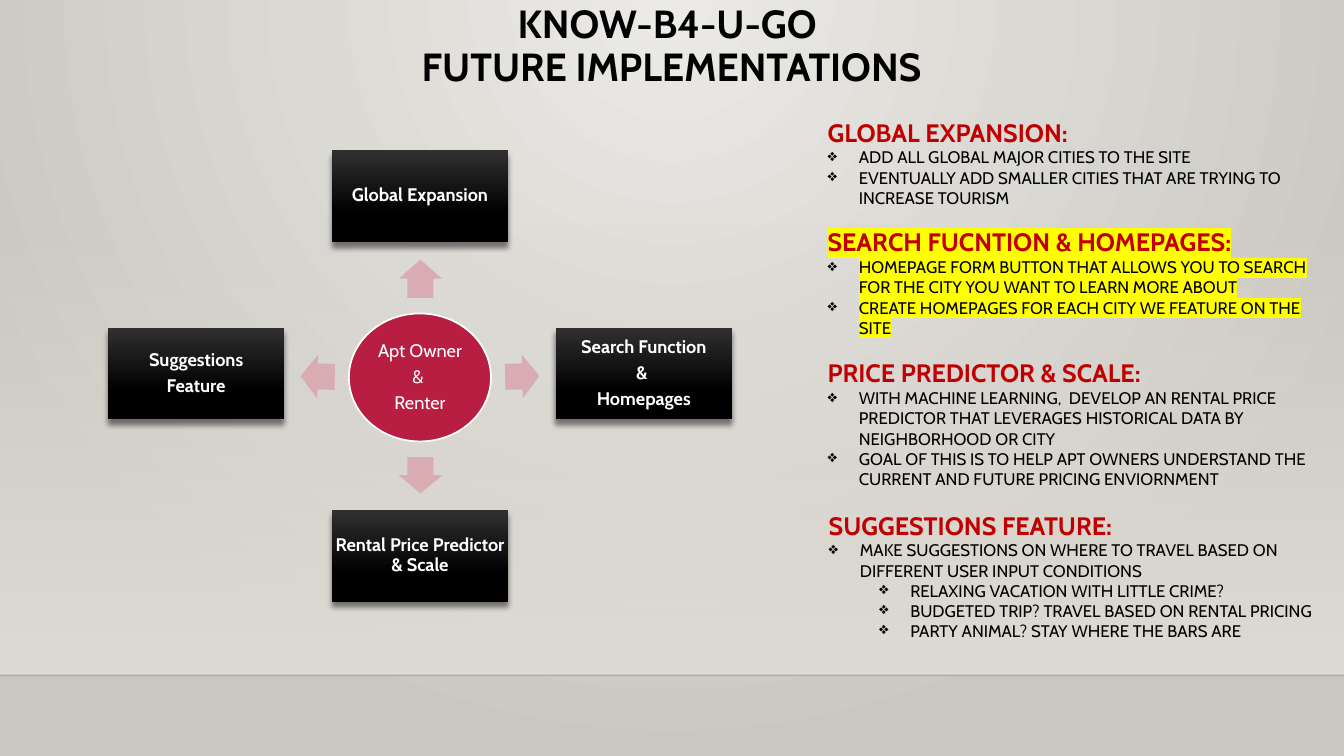
from pptx import Presentation
from pptx.dml.color import RGBColor
from pptx.enum import shapes, text
from pptx.oxml import parse_xml
from pptx.oxml.ns import nsdecls, qn
from pptx.oxml.xmlchemy import OxmlElement
from pptx.util import Inches, Pt


class Theme:
    font = "Cabin"
    title_size, heading_size, label_size, body_size = Pt(28), Pt(18), Pt(13), Pt(12)
    black, white = RGBColor(0, 0, 0), RGBColor(255, 255, 255)
    heading = RGBColor.from_string("C00000")
    hub, arrow = RGBColor.from_string("B71E42"), RGBColor.from_string("D8ACB0")
    backdrop = [(0, "ECEAE7", 100), (100, "CAC7C1", 100)]
    wall = [(0, "DFDBD5", 0), (100, "DFDBD5", 100)]
    card = [(0, "303030", 100), (69, "000000", 100), (100, "000000", 100)]
    highlight = "FFFF00"


def gradient(stops, direction='<a:lin ang="5400000" scaled="0"/>'):
    marks = "".join(
        f'<a:gs pos="{pos * 1000}"><a:srgbClr val="{color}">'
        f'<a:alpha val="{alpha * 1000}"/></a:srgbClr></a:gs>'
        for pos, color, alpha in stops)
    return parse_xml(f'<a:gradFill {nsdecls("a")} rotWithShape="1">'
                     f'<a:gsLst>{marks}</a:gsLst>{direction}</a:gradFill>')


def write_label(shape, lines, bold):
    frame = shape.text_frame
    frame.word_wrap = True
    frame.vertical_anchor = text.MSO_ANCHOR.MIDDLE
    frame.margin_left = frame.margin_right = Inches(0.02)
    frame.margin_top = frame.margin_bottom = Inches(0.02)
    frame.text = "\n".join(lines)
    for line in frame.paragraphs:
        line.alignment = text.PP_ALIGN.CENTER
        line.line_spacing = 0.9
        line.space_after = Pt(4.6)
        line.font.name, line.font.size = Theme.font, Theme.label_size
        line.font.bold, line.font.color.rgb = bold, Theme.white


prs = Presentation()
prs.slide_width, prs.slide_height = Inches(13.33), Inches(7.5)
slide = prs.slides.add_slide(prs.slide_layouts[5])

# Backdrop: radial glow, wall and floor line
slide.background.fill.solid()
plain = slide._element.find(".//" + qn("a:solidFill"))
plain.getparent().replace(plain, gradient(
    Theme.backdrop, '<a:path path="circle"><a:fillToRect l="43000" t="0" '
                    'r="43000" b="100000"/></a:path>'))

wall = slide.shapes.add_shape(shapes.MSO_SHAPE.RECTANGLE, 0, Inches(2.21),
                              Inches(13.33), Inches(4.49))
wall.shadow.inherit = False
wall.line.fill.background()
wall._element.spPr.insert(2, gradient(Theme.wall))

floor = slide.shapes.add_connector(shapes.MSO_CONNECTOR.STRAIGHT, 0, Inches(6.7),
                                   Inches(13.33), Inches(6.7))
floor.line.width = Pt(1)
floor.line.color.rgb = Theme.black
floor_alpha = OxmlElement("a:alpha")
floor_alpha.set("val", "20000")
floor._element.spPr.find(".//" + qn("a:srgbClr")).append(floor_alpha)
floor._element.spPr.append(OxmlElement("a:effectLst"))

# Title
title = slide.shapes.title
title.left, title.top = Inches(2.87), 0
title.width, title.height = Inches(7.58), Inches(1.16)
title.text_frame.text = "KNOW-B4-U-GO \vFUTURE IMPLEMENTATIONS"
title.text_frame.auto_size = text.MSO_AUTO_SIZE.NONE
title.text_frame.vertical_anchor = text.MSO_ANCHOR.TOP
heading = title.text_frame.paragraphs[0]
heading.alignment = text.PP_ALIGN.CENTER
heading.line_spacing = 0.9
heading.font.name, heading.font.size = Theme.font, Theme.title_size
heading.font.bold, heading.font.color.rgb = True, Theme.black

# Hub of the diagram
hub = slide.shapes.add_shape(shapes.MSO_SHAPE.OVAL, Inches(3.46), Inches(3.11),
                             Inches(1.41), Inches(1.27))
hub.shadow.inherit = False
hub.fill.solid()
hub.fill.fore_color.rgb = Theme.hub
hub.line.color.rgb, hub.line.width = Theme.white, Pt(1.25)
write_label(hub, ["Apt Owner", "& ", "Renter"], False)

# Spokes: card corner, label, arrow left, top, length and rotation
spokes = [
    (3.29, 1.49, ["Global Expansion"], (3.98, 2.55, 0.38, 270)),
    (5.51, 3.25, ["Search Function", "& ", "Homepages"], (5.01, 3.52, 0.34, 358.8)),
    (3.29, 5.06, ["Rental Price Predictor & Scale"], (3.99, 4.5, 0.36, 90)),
    (1.07, 3.25, ["Suggestions", "Feature"], (2.98, 3.52, 0.34, 181.2)),
]
for left, top, label, (arrow_left, arrow_top, length, turn) in spokes:
    arrow = slide.shapes.add_shape(shapes.MSO_SHAPE.RIGHT_ARROW, Inches(arrow_left),
                                   Inches(arrow_top), Inches(length), Inches(0.43))
    arrow.adjustments[0], arrow.adjustments[1] = 0.6, 0.5
    arrow.rotation = turn
    arrow.shadow.inherit = False
    arrow.fill.solid()
    arrow.fill.fore_color.rgb = Theme.arrow
    arrow.line.fill.background()

    card = slide.shapes.add_shape(shapes.MSO_SHAPE.RECTANGLE, Inches(left), Inches(top),
                                  Inches(1.75), Inches(0.91))
    card.shadow.inherit = False
    card.line.fill.background()
    card._element.spPr.insert(2, gradient(Theme.card))
    card._element.spPr.find(qn("a:effectLst")).append(parse_xml(
        f'<a:outerShdw {nsdecls("a")} blurRad="50800" dist="50800" dir="5400000" '
        'rotWithShape="0"><a:srgbClr val="000000"><a:alpha val="48000"/>'
        '</a:srgbClr></a:outerShdw>'))
    write_label(card, label, True)

# Plans: frame, highlighted or not, heading, bullets as (level, wording)
plans = [
    ((8.11, 1.11, 5, 1.01), False, "GLOBAL EXPANSION:", [
        (0, "ADD ALL GLOBAL MAJOR CITIES TO THE SITE"),
        (0, "EVENTUALLY ADD SMALLER CITIES THAT ARE TRYING TO INCREASE TOURISM")]),
    ((8.11, 2.2, 5, 1.21), True, "SEARCH FUCNTION & HOMEPAGES:", [
        (0, "HOMEPAGE FORM BUTTON THAT ALLOWS YOU TO SEARCH FOR THE CITY YOU WANT "
            "TO LEARN MORE ABOUT"),
        (0, "CREATE HOMEPAGES FOR EACH CITY WE FEATURE ON THE SITE")]),
    ((8.11, 3.5, 5.05, 1.41), False, "PRICE PREDICTOR & SCALE:", [
        (0, "WITH MACHINE LEARNING,  DEVELOP AN RENTAL PRICE PREDICTOR THAT "
            "LEVERAGES HISTORICAL DATA BY NEIGHBORHOOD OR CITY"),
        (0, "GOAL OF THIS IS TO HELP APT OWNERS UNDERSTAND THE CURRENT AND FUTURE "
            "PRICING ENVIORNMENT")]),
    ((8.12, 5.01, 5.05, 1.41), False, "SUGGESTIONS FEATURE:", [
        (0, "MAKE SUGGESTIONS ON WHERE TO TRAVEL BASED ON DIFFERENT USER INPUT "
            "CONDITIONS"),
        (1, "RELAXING VACATION WITH LITTLE CRIME?"),
        (1, "BUDGETED TRIP? TRAVEL BASED ON RENTAL PRICING"),
        (1, "PARTY ANIMAL? STAY WHERE THE BARS ARE")]),
]
for frame, highlighted, plan_heading, bullets in plans:
    plan = slide.shapes.add_textbox(*map(Inches, frame)).text_frame
    plan.word_wrap = True
    plan.text = "\n".join([plan_heading] + [wording for _, wording in bullets])
    for number, line in enumerate(plan.paragraphs):
        is_heading = number == 0
        line.font.name, line.font.bold = Theme.font, is_heading
        line.font.size = Theme.heading_size if is_heading else Theme.body_size
        line.font.color.rgb = Theme.heading if is_heading else Theme.black
        if not is_heading:
            line.level = bullets[number - 1][0]
            props = line._p.get_or_add_pPr()
            props.set("marL", str(Inches(0.31 + 0.5 * line.level)))
            props.set("indent", str(Inches(-0.31)))
            props.insert(0, parse_xml(f'<a:buChar {nsdecls("a")} char="❖"/>'))
        if highlighted:
            line.runs[0]._r.get_or_add_rPr().append(parse_xml(
                f'<a:highlight {nsdecls("a")}><a:srgbClr val="{Theme.highlight}"/>'
                '</a:highlight>'))

prs.save("out.pptx")
